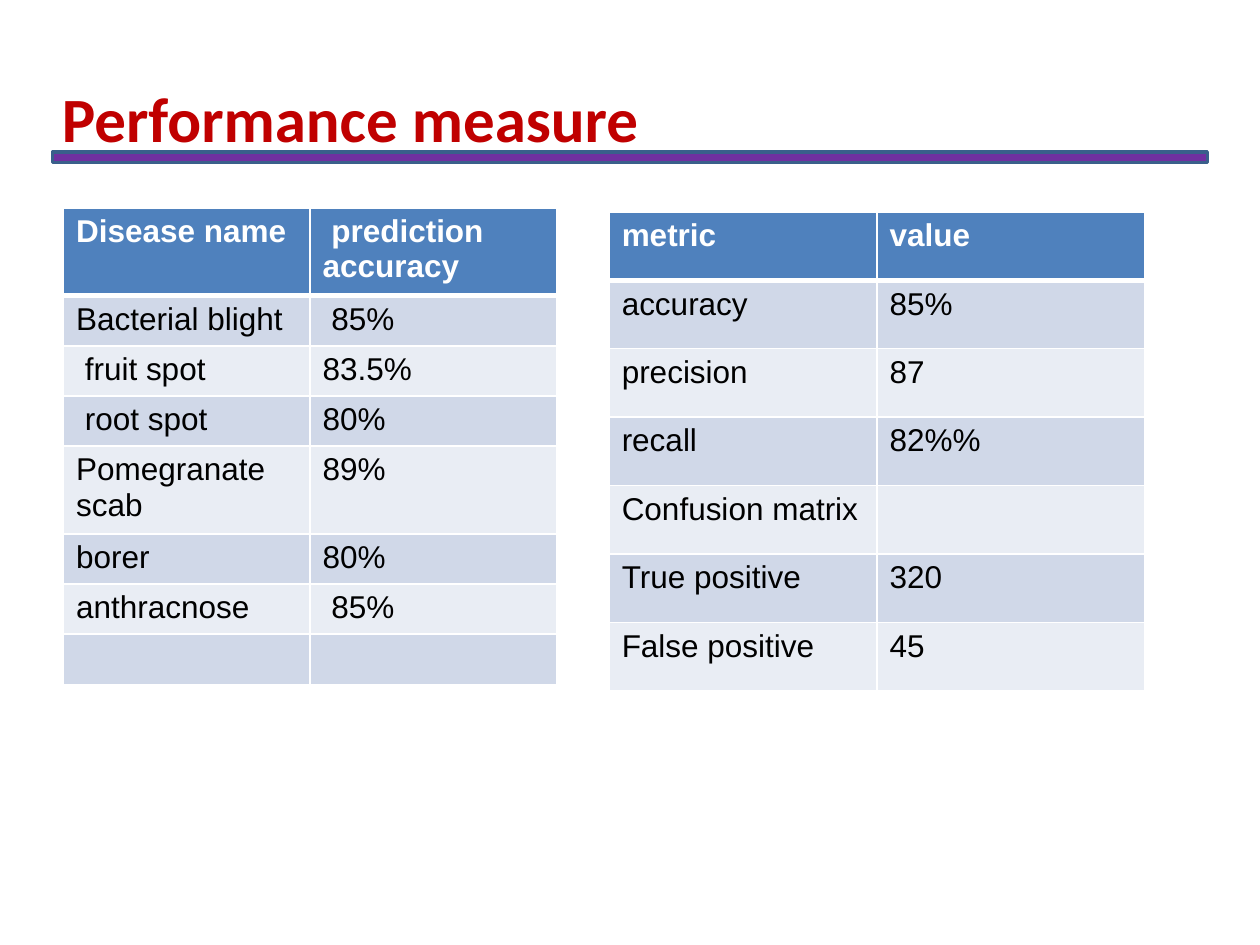
from dataclasses import dataclass

import pptx
import pptx.dml.color
import pptx.enum.shapes
import pptx.enum.text
import pptx.oxml
import pptx.oxml.ns
import pptx.util
from pptx.util import Cm, Pt

HEADER_FILL = "4F81BD"
BAND_FILLS = ("D0D8E8", "E9EDF4")
SINGLE_ROW = 1.01
DOUBLE_ROW = 1.77


@dataclass
class TableSpec:
    """A two-column table; all lengths are in centimetres."""
    left: float
    top: float
    column_width: float
    row_heights: list[float]
    rows: list[tuple[str, str]]


TABLES = [
    TableSpec(
        1.28, 4.19, 4.97,
        [DOUBLE_ROW] + [SINGLE_ROW] * 3 + [DOUBLE_ROW] + [SINGLE_ROW] * 3,
        [
            ("Disease name", " prediction accuracy"),
            ("Bacterial blight", " 85%"),
            (" fruit spot", "83.5%"),
            (" root spot", "80%"),
            ("Pomegranate scab", "89%"),
            ("borer", "80%"),
            ("anthracnose", " 85%"),
            ("", ""),
        ],
    ),
    TableSpec(
        12.28, 4.27, 5.4,
        [1.38] * 7,
        [
            ("metric", "value"),
            ("accuracy", "85%"),
            ("precision", "87"),
            ("recall", "82%%"),
            ("Confusion matrix", ""),
            ("True positive", "320"),
            ("False positive", "45"),
        ],
    ),
]


def colour(value: str) -> pptx.dml.color.RGBColor:
    return pptx.dml.color.RGBColor.from_string(value)


def style_span(span, font: str, size: float, value: str, bold: bool) -> None:
    span.font.name = font
    span.font.size = Pt(size)
    span.font.color.rgb = colour(value)
    span.font.bold = bold


def set_borders(cell, top: float, bottom: float) -> None:
    """Give a cell white borders, with widths in points above and below."""
    properties = cell._tc.get_or_add_tcPr()
    widths = {"lnL": 1, "lnR": 1, "lnT": top, "lnB": bottom}
    for index, (side, width) in enumerate(widths.items()):
        line = pptx.oxml.parse_xml(
            f'<a:{side} {pptx.oxml.ns.nsdecls("a")} w="{Pt(width)}">'
            '<a:solidFill><a:srgbClr val="FFFFFF"/></a:solidFill>'
            f"</a:{side}>"
        )
        properties.insert(index, line)


def add_title(page, text: str) -> None:
    title = page.shapes.title
    title.left, title.top = Cm(0.85), Cm(1.48)
    title.width, title.height = Cm(18.2), Cm(1.8)
    frame = title.text_frame
    frame.vertical_anchor = pptx.enum.text.MSO_ANCHOR.TOP
    para = frame.paragraphs[0]
    para.alignment = pptx.enum.text.PP_ALIGN.LEFT
    for part, size in ((" ", 18), (text, 36)):
        span = para.add_run()
        span.text = part
        style_span(span, "Calibri", size, "C00000", True)


def add_rule(page) -> None:
    rule = page.shapes.add_shape(
        pptx.enum.shapes.MSO_SHAPE.RECTANGLE,
        Cm(1.06), Cm(3.07), Cm(23.28), Cm(0.21),
    )
    rule.shadow.inherit = False
    rule.fill.solid()
    rule.fill.fore_color.rgb = colour("7030A0")
    rule.line.color.rgb = colour("3A5F8B")
    rule.line.width = Pt(2)


def add_table(page, spec: TableSpec) -> None:
    columns = len(spec.rows[0])
    table = page.shapes.add_table(
        len(spec.rows), columns, Cm(spec.left), Cm(spec.top),
        Cm(spec.column_width * columns), Cm(sum(spec.row_heights)),
    ).table
    for column in table.columns:
        column.width = Cm(spec.column_width)
    for index, (texts, height) in enumerate(zip(spec.rows, spec.row_heights)):
        table.rows[index].height = Cm(height)
        header = index == 0
        fill = HEADER_FILL if header else BAND_FILLS[(index - 1) % 2]
        for cell, text in zip(table.rows[index].cells, texts):
            cell.fill.solid()
            cell.fill.fore_color.rgb = colour(fill)
            set_borders(cell, 3 if index == 1 else 1, 3 if header else 1)
            cell.text_frame.text = text
            for span in cell.text_frame.paragraphs[0].runs:
                style_span(span, "Arial", 18, "FFFFFF" if header else "000000", header)


def main() -> None:
    deck = pptx.Presentation()
    deck.slide_width, deck.slide_height = Cm(25.4), Cm(19.05)
    page = deck.slides.add_slide(deck.slide_layouts.get_by_name("Title Only"))
    add_title(page, "Performance measure")
    add_rule(page)
    for spec in TABLES:
        add_table(page, spec)
    deck.save("out.pptx")


if __name__ == "__main__":
    main()
